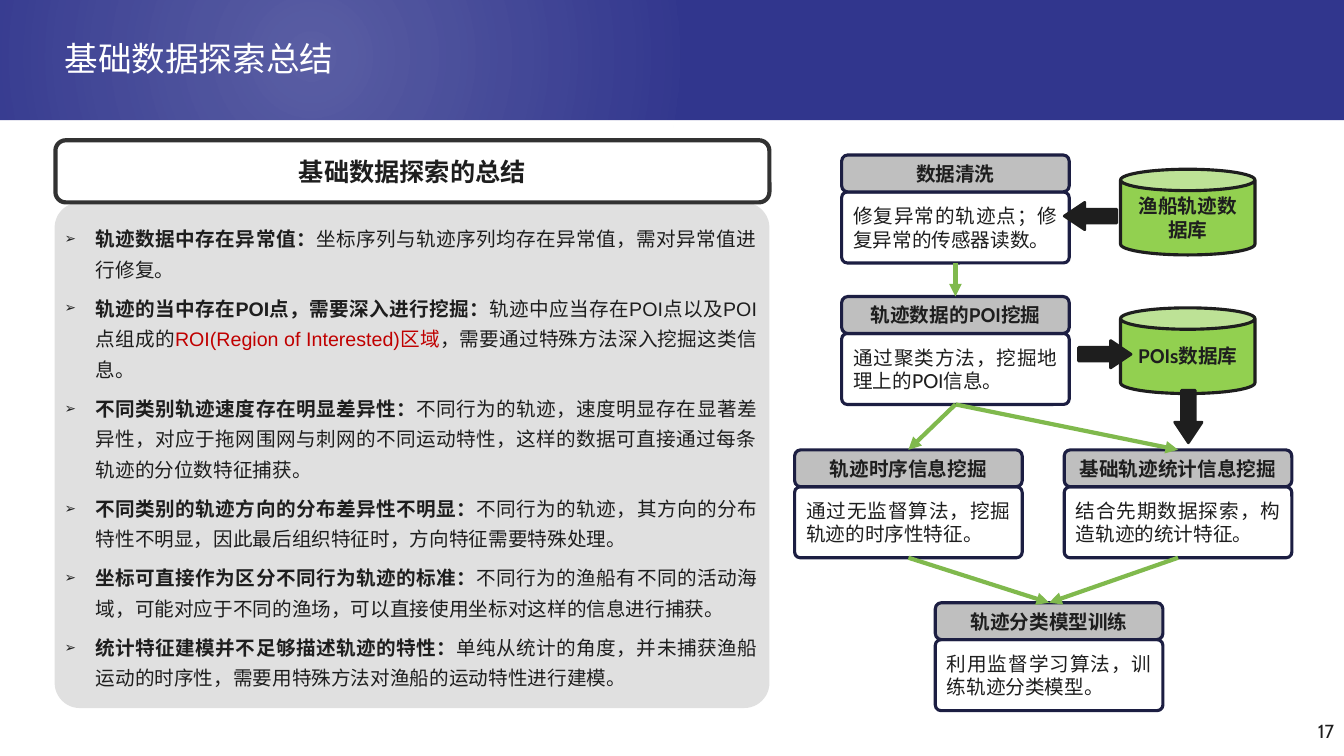
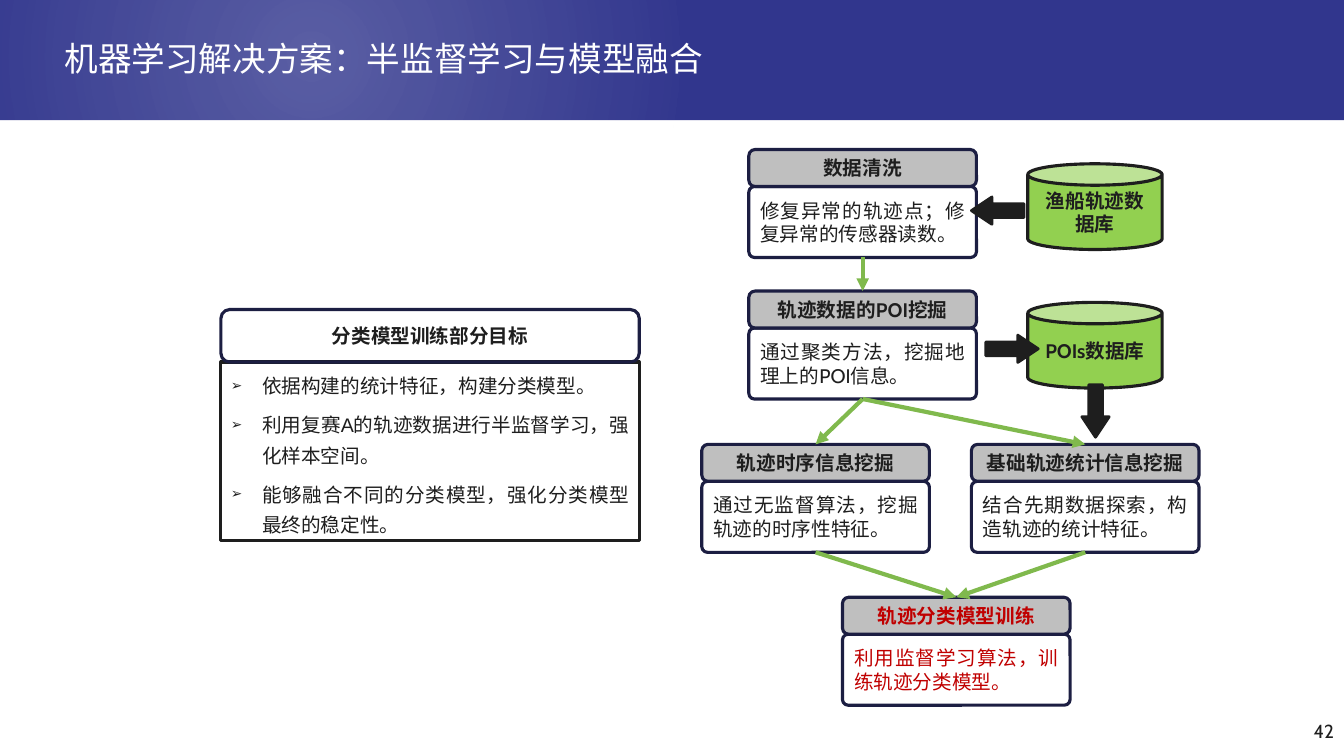
from lxml.etree import SubElement
from pptx import Presentation
from pptx.dml.color import RGBColor
from pptx.enum.lang import MSO_LANGUAGE_ID as LANG
from pptx.enum.shapes import MSO_CONNECTOR as CONN, MSO_SHAPE as SHAPE
from pptx.enum.text import MSO_ANCHOR as ANCHOR, PP_ALIGN as ALIGN
from pptx.oxml import parse_xml
from pptx.oxml.ns import nsdecls, qn
from pptx.util import Inches, Pt

COLS, ROWS = 160, 90
CELL = Inches(1) / 12
INDENT = Inches(0.31)

INK = RGBColor(0x1E, 0x1E, 0x1E)
WHITE = RGBColor(0xFF, 0xFF, 0xFF)
BAND = RGBColor(0x31, 0x36, 0x8D)
NAVY = RGBColor(0x1C, 0x1E, 0x42)
CHARCOAL = RGBColor(0x32, 0x32, 0x32)
PANEL = RGBColor(0xE0, 0xE0, 0xE0)
SILVER = RGBColor(0xBF, 0xBF, 0xBF)
LIME = RGBColor(0x92, 0xD0, 0x50)
GREEN = RGBColor(0x80, 0xB9, 0x4D)
RED = RGBColor(0xC0, 0x00, 0x00)

BASE = {"size": Pt(14), "name": "Cabin", "bold": False, "color": INK,
        "language_id": LANG.SIMPLIFIED_CHINESE}
BOLD = {"bold": True}
ARIAL = {"name": "Arial"}
TITLE = {"size": Pt(24), "name": "Arial", "color": WHITE}
HEADING = {"size": Pt(18), "name": "Arial", "bold": True}
NUMBER = {"size": Pt(13.5)}
CENTER = {"alignment": ALIGN.CENTER}
JUSTIFY = {"alignment": ALIGN.JUSTIFY}
LIST = {"alignment": ALIGN.JUSTIFY, "line_spacing": 1.3, "space_after": Pt(6)}

GLOW = f"""<a:gradFill {nsdecls('a')} rotWithShape="1"><a:gsLst>
<a:gs pos="0"><a:srgbClr val="FFFFFF"><a:alpha val="20000"/></a:srgbClr></a:gs>
<a:gs pos="66000"><a:srgbClr val="FFFFFF"><a:alpha val="0"/></a:srgbClr></a:gs>
</a:gsLst><a:path path="circle">
<a:fillToRect l="50000" t="50000" r="50000" b="50000"/></a:path></a:gradFill>"""

NODE_W, HEAD_H, BODY_H = 27.1, 4.4, 8.45
NODES = {
    "clean": (0, 0, "数据清洗", "修复异常的轨迹点；修复异常的传感器读数。"),
    "poi": (0, 16.85, "轨迹数据的POI挖掘", "通过聚类方法，挖掘地理上的POI信息。"),
    "stats": (26.5, 35.1, "基础轨迹统计信息挖掘", "结合先期数据探索，构造轨迹的统计特征。"),
    "sequence": (-5.6, 35.1, "轨迹时序信息挖掘", "通过无监督算法，挖掘轨迹的时序性特征。"),
    "train": (11.15, 53.3, "轨迹分类模型训练", "利用监督学习算法，训练轨迹分类模型。"),
}
EDGES = [("clean", "poi"), ("poi", "sequence"), ("poi", "stats"),
         ("sequence", "train"), ("stats", "train")]
STORES = [(1.7, "渔船轨迹数据库"), (18.2, "POIs数据库")]
BLOCK_ARROWS = [(SHAPE.LEFT_ARROW, 26.5, 5.65, 6.25, 3.25),
                (SHAPE.RIGHT_ARROW, 28.2, 22.1, 6.25, 3.25),
                (SHAPE.DOWN_ARROW, 39.65, 28, 3.25, 6.25)]

FINDINGS = [
    [("轨迹数据中存在异常值：", BOLD),
     ("坐标序列与轨迹序列均存在异常值，需对异常值进行修复。", {})],
    [("轨迹的当中存在POI点，需要深入进行挖掘：", BOLD),
     ("轨迹中应当存在POI点以及POI点组成的", {}),
     ("ROI(Region of Interested)区域", {"color": RED}),
     ("，需要通过特殊方法深入挖掘这类信息。", {})],
    [("不同类别轨迹速度存在明显差异性：", BOLD),
     ("不同行为的轨迹，速度明显存在显著差异性，对应于拖网围网与刺网的不同运动特性，"
      "这样的数据可直接通过每条轨迹的分位数特征捕获。", {})],
    [("不同类别的轨迹方向的分布差异性不明显：", BOLD),
     ("不同行为的轨迹，其方向的分布特性不明显，因此最后组织特征时，方向特征需要特殊处理。", {})],
    [("坐标可直接作为区分不同行为轨迹的标准：", BOLD),
     ("不同行为的渔船有不同的活动海域，可能对应于不同的渔场，"
      "可以直接使用坐标对这样的信息进行捕获。", {})],
    [("统计特征建模并不足够描述轨迹的特性：", BOLD),
     ("单纯从统计的角度，并未捕获渔船运动的时序性，"
      "需要用特殊方法对渔船的运动特性进行建模。", {})],
]
GOALS = [
    [("依据构建的统计特征，构建分类模型。", {})],
    [("利用复赛A的轨迹数据进行半监督学习，强化样本空间。", {})],
    [("能够融合不同的分类模型，强化分类模型最终的稳定性。", {})],
]


def cells(*lengths):
    return [round(n * CELL) for n in lengths]


class Deck:
    """Draws styled elements on the current slide, in grid cells."""

    def __init__(self):
        self.prs = Presentation()
        self.prs.slide_width, self.prs.slide_height = cells(COLS, ROWS)

    def slide(self, title, number):
        self.s = self.prs.slides.add_slide(self.prs.slide_layouts[6])
        self.shape(SHAPE.RECTANGLE, 0, 0, COLS, 14.3, fill=BAND)
        glow = self.shape(SHAPE.RECTANGLE, -29.6, -2, 133.2, 17.3)
        spPr = glow.element.spPr
        spPr.replace(spPr.find(qn("a:noFill")), parse_xml(GLOW))
        self.textbox((6.5, 4.5, 147.8, 5.5), [[(title, {})]], TITLE,
                     {"line_spacing": 0.9}, ANCHOR.MIDDLE)
        self.textbox((135.2, 85.1, 24.8, 4.8), [[(number, {})]], NUMBER,
                     {"alignment": ALIGN.RIGHT})

    def shape(self, kind, x, y, w, h, fill=None, line=None, width=2.25, adj=()):
        sp = self.s.shapes.add_shape(kind, *cells(x, y, w, h))
        sp.shadow.inherit = False
        for i, value in enumerate(adj):
            sp.adjustments[i] = value
        for part, color in ((sp.fill, fill), (sp.line.fill, line)):
            if color is None:
                part.background()
            else:
                part.solid()
                part.fore_color.rgb = color
        if line is not None:
            sp.line.width = Pt(width)
        return sp

    def textbox(self, box, paras, font, layout, anchor=ANCHOR.TOP, bullets=False):
        sp = self.s.shapes.add_textbox(*cells(*box))
        self.text(sp, paras, font, layout, anchor, bullets)

    def label(self, sp, text, font, layout=CENTER):
        self.text(sp, [[(text, {})]], font, layout)

    def text(self, sp, paras, font, layout, anchor=ANCHOR.MIDDLE, bullets=False):
        tf = sp.text_frame
        tf.word_wrap, tf.vertical_anchor = True, anchor
        for i, runs in enumerate(paras):
            p = tf.add_paragraph() if i else tf.paragraphs[0]
            if bullets:
                self.bullet(p)
            for key, value in layout.items():
                setattr(p, key, value)
            for words, changes in runs:
                r = p.add_run()
                r.text = words
                for key, value in {**BASE, **font, **changes}.items():
                    if key == "color":
                        r.font.color.rgb = value
                    else:
                        setattr(r.font, key, value)

    def bullet(self, p):
        pPr = p._p.get_or_add_pPr()
        pPr.set("marL", str(INDENT))
        pPr.set("indent", str(-INDENT))
        SubElement(pPr, qn("a:buSzPct"), val="70000")
        SubElement(pPr, qn("a:buFont"), typeface="Arial")
        SubElement(pPr, qn("a:buChar"), char="➢")

    def node(self, x, y, head, body, color):
        bottom = self.shape(SHAPE.ROUNDED_RECTANGLE, x, y + HEAD_H, NODE_W, BODY_H,
                            line=NAVY, adj=[0.08])
        self.label(bottom, body, {"color": color}, JUSTIFY)
        top = self.shape(SHAPE.ROUNDED_RECTANGLE, x, y, NODE_W, HEAD_H, SILVER, NAVY)
        self.label(top, head, {"bold": True, "color": color})
        return top, bottom

    def arrow(self, start, end):
        cx = self.s.shapes.add_connector(CONN.STRAIGHT, 0, 0, 0, 0)
        cx.begin_connect(start, 2)
        cx.end_connect(end, 0)
        cx.line.color.rgb, cx.line.width = GREEN, Pt(3)
        spPr = cx.element.spPr
        SubElement(spPr.find(qn("a:ln")), qn("a:tailEnd"), type="triangle")
        SubElement(spPr, qn("a:effectLst"))

    def flow(self, x, y, train_color=INK):
        nodes = {}
        for key, (dx, dy, head, body) in NODES.items():
            color = train_color if key == "train" else INK
            nodes[key] = self.node(x + dx, y + dy, head, body, color)
        for dy, name in STORES:
            can = self.shape(SHAPE.CAN, x + 33.2, y + dy, 16, 10.2, LIME, INK)
            self.label(can, name, BOLD)
        for start, end in EDGES:
            self.arrow(nodes[start][1], nodes[end][0])
        for kind, dx, dy, w, h in BLOCK_ARROWS:
            self.shape(kind, x + dx, y + dy, w, h, INK, INK, 2, [0.5, 0.75])


def main():
    deck = Deck()

    deck.slide("基础数据探索总结", "17")
    deck.shape(SHAPE.ROUNDED_RECTANGLE, 6.5, 24.1, 85.1, 60.2, PANEL, adj=[0.05])
    head = deck.shape(SHAPE.ROUNDED_RECTANGLE, 6.6, 16.7, 85, 7.4,
                      line=CHARCOAL, width=3)
    deck.label(head, "基础数据探索的总结", HEADING)
    deck.textbox((6.5, 25.6, 84.8, 57.4), FINDINGS, ARIAL, LIST, bullets=True)
    deck.flow(100.2, 18.45)

    deck.slide("机器学习解决方案：半监督学习与模型融合", "42")
    deck.flow(89.15, 17.8, RED)
    goals = deck.shape(SHAPE.RECTANGLE, 26.3, 43.1, 49.8, 21.2, line=INK)
    deck.text(goals, GOALS, ARIAL, LIST, ANCHOR.TOP, bullets=True)
    head = deck.shape(SHAPE.ROUNDED_RECTANGLE, 26.3, 36.85, 49.8, 6.25, line=NAVY)
    deck.label(head, "分类模型训练部分目标", BOLD)

    deck.prs.save("out.pptx")


if __name__ == "__main__":
    main()
